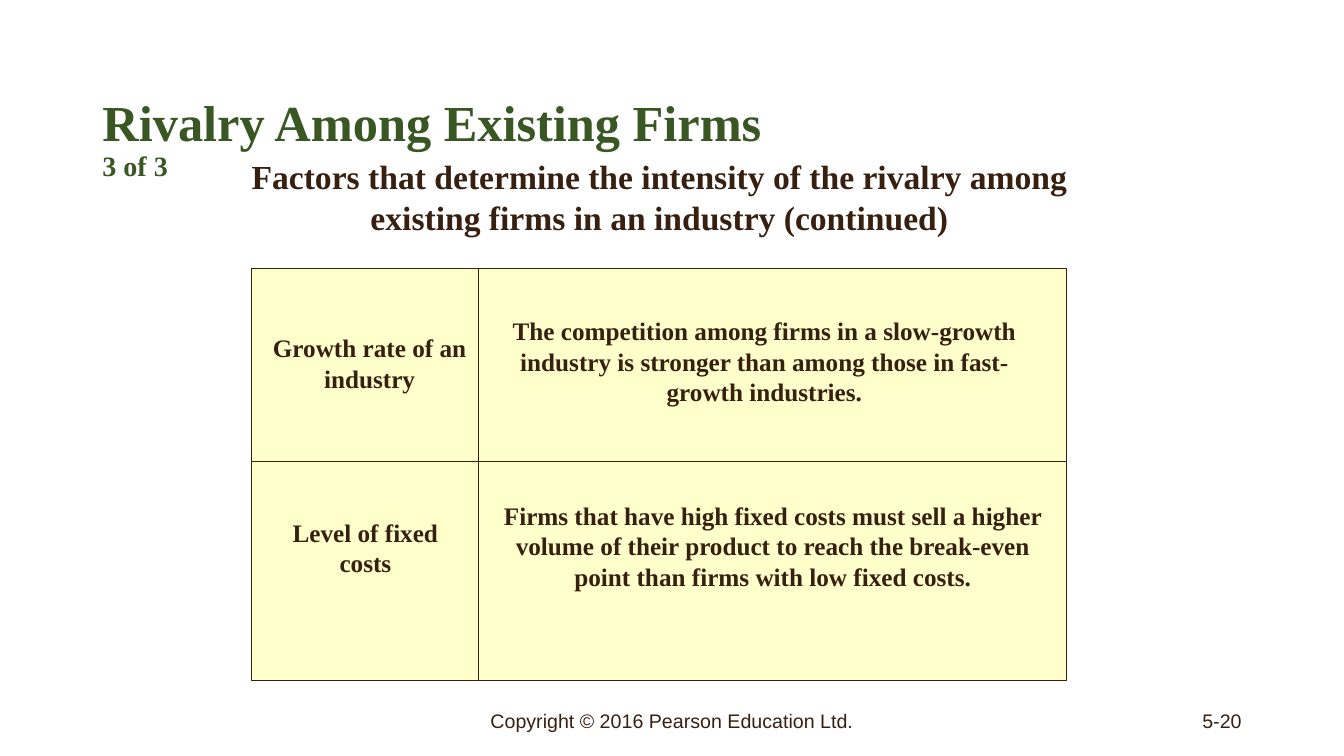
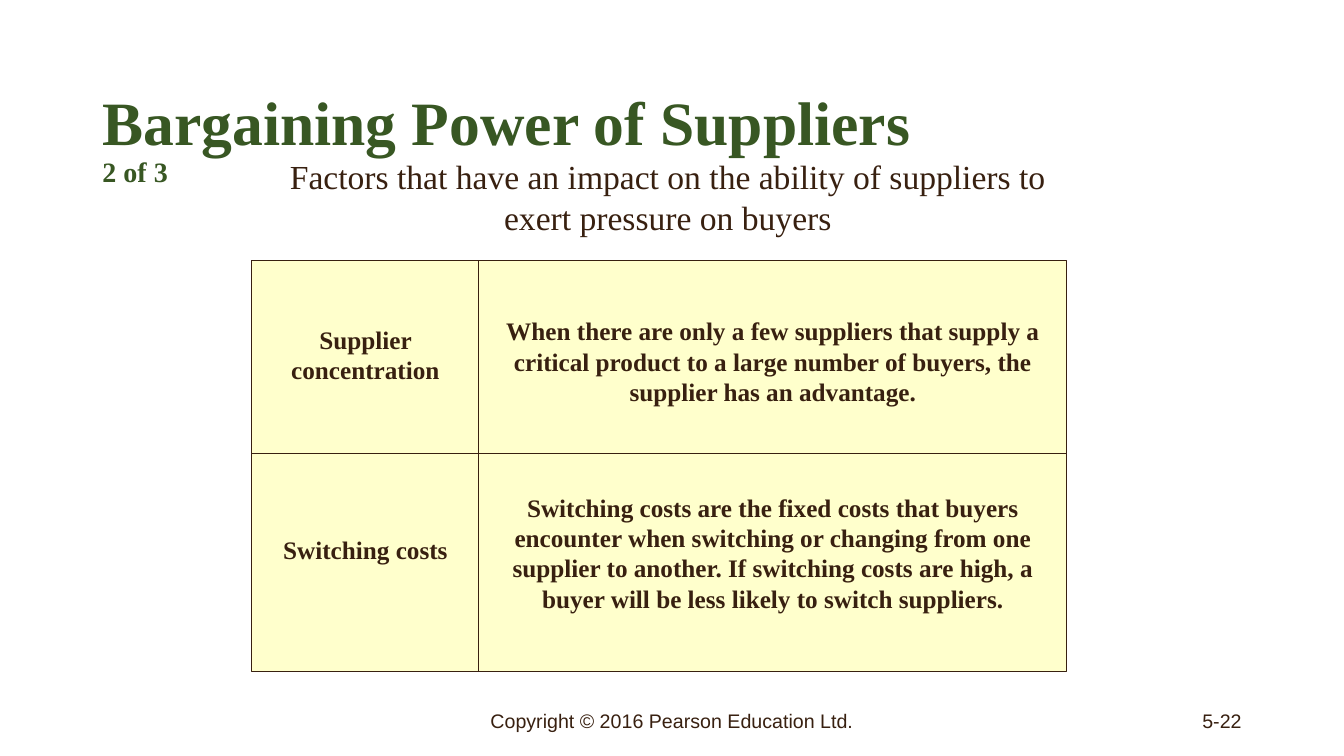
import dataclasses

import lxml.etree
import pptx
import pptx.dml.color
import pptx.enum.shapes
import pptx.enum.text
import pptx.oxml.ns
import pptx.util

ALIGN = pptx.enum.text.PP_ALIGN
ANCHOR = pptx.enum.text.MSO_ANCHOR


def px(n):
    """Turn px (96 to the inch) into EMU."""
    return pptx.util.Emu(n * 9525)


def rgb(color):
    return pptx.dml.color.RGBColor.from_string(color)


@dataclasses.dataclass(frozen=True)
class Theme:
    green: str = "385723"
    ink: str = "382010"
    cream: str = "FFFFCC"
    serif: str = "Times New Roman"
    sans: str = "Arial"
    part_size: int = 20
    heading_size: int = 24
    cell_size: int = 18
    footer_size: int = 14
    line_width: float = 0.75


class Deck:
    def __init__(self, prs, theme):
        self.prs = prs
        self.theme = theme
        self.s = None

    def new_slide(self):
        layout = self.prs.slide_layouts.get_by_name("Title Only")
        self.s = self.prs.slides.add_slide(layout)

    def run(self, p, text, size, color=None, font=None, bold=False):
        r = p.add_run()
        r.text = text
        r.font.name = font or self.theme.serif
        r.font.size = pptx.util.Pt(size)
        r.font.bold = bold
        r.font.color.rgb = rgb(color or self.theme.ink)

    def title(self, text, size, part):
        sp = self.s.shapes.title
        sp.left, sp.top, sp.width, sp.height = map(px, (88, 64, 1104, 139))
        tf = sp.text_frame
        tf.auto_size = pptx.enum.text.MSO_AUTO_SIZE.NONE
        tf.vertical_anchor = ANCHOR.MIDDLE
        lines = (tf.paragraphs[0], text, size), (tf.add_paragraph(), part, self.theme.part_size)
        for p, line, points in lines:
            p.alignment = ALIGN.LEFT
            p.line_spacing = 0.9
            self.run(p, line, points, self.theme.green, bold=True)

    def text(self, box, text, size, align=ALIGN.CENTER, anchor=ANCHOR.TOP, **style):
        tf = self.s.shapes.add_textbox(*map(px, box)).text_frame
        tf.word_wrap = True
        tf.vertical_anchor = anchor
        p = tf.paragraphs[0]
        p.alignment = align
        self.run(p, text, size, **style)

    def heading(self, left, width, text, bold):
        self.text((left, 144, width, 88), text, self.theme.heading_size, bold=bold)

    def footer(self, number):
        style = dict(size=self.theme.footer_size, anchor=ANCHOR.MIDDLE, font=self.theme.sans)
        self.text((424, 667, 432, 38), "Copyright © 2016 Pearson Education Ltd.", **style)
        self.text((904, 667, 288, 38), number, align=ALIGN.RIGHT, **style)

    def outline(self, line):
        line.color.rgb = rgb(self.theme.ink)
        line.width = pptx.util.Pt(self.theme.line_width)

    def rule(self, *ends):
        line = self.s.shapes.add_connector(
            pptx.enum.shapes.MSO_CONNECTOR.STRAIGHT, *map(px, ends))
        self.outline(line.line)
        lxml.etree.SubElement(line._element.spPr, pptx.oxml.ns.qn("a:effectLst"))

    def grid(self, top, middle):
        """Draw the cream panel, divided into two rows and two columns."""
        left, width, height = 240, 776, 392
        panel = self.s.shapes.add_shape(
            pptx.enum.shapes.MSO_SHAPE.RECTANGLE, *map(px, (left, top, width, height)))
        panel.shadow.inherit = False
        panel.fill.solid()
        panel.fill.fore_color.rgb = rgb(self.theme.cream)
        self.outline(panel.line)
        self.rule(left, middle, left + width, middle)
        self.rule(456, top, 456, top + height)

    def cell(self, text, top, left, width, lines):
        box = (left, top, width, 10 + 29 * lines)
        self.text(box, text, self.theme.cell_size, bold=True)

    def factor(self, text, top, left=248, width=200, lines=2):
        self.cell(text, top, left, width, lines)

    def effect(self, text, top, left=464, width=544, lines=3):
        self.cell(text, top, left, width, lines)


def rivalry_slide(deck):
    deck.new_slide()
    deck.title("Rivalry Among Existing Firms", 36, "3 of 3")
    deck.footer("5-20")
    deck.heading(184, 888, "Factors that determine the intensity of the rivalry among "
                 "existing firms in an industry (continued)", bold=True)
    deck.grid(256, 440)
    deck.factor("Growth rate of an industry", 312, left=240, width=224)
    deck.factor("Level of fixed costs", 488)
    deck.effect("The competition among firms in a slow-growth industry is stronger "
                "than among those in fast-growth industries.", 296, left=472, width=512)
    deck.effect("Firms that have high fixed costs must sell a higher volume of their product "
                "to reach the break-even point than firms with low fixed costs.", 472)


def suppliers_slide(deck):
    deck.new_slide()
    deck.title("Bargaining Power of Suppliers", 44, "2 of 3")
    deck.footer("5-22")
    deck.heading(240, 792, "Factors that have an impact on the ability of suppliers "
                 "to exert pressure on buyers", bold=False)
    deck.grid(248, 432)
    deck.factor("Supplier concentration", 304)
    deck.factor("Switching costs", 504, lines=1)
    deck.effect("When there are only a few suppliers that supply a critical product "
                "to a large number of buyers, the supplier has an advantage.", 296)
    deck.effect("Switching costs are the fixed costs that buyers encounter when switching "
                "or changing from one supplier to another. If switching costs are high, "
                "a buyer will be less likely to switch suppliers.", 464, lines=4)


def main():
    prs = pptx.Presentation()
    prs.slide_width, prs.slide_height = px(1280), px(720)
    deck = Deck(prs, Theme())
    rivalry_slide(deck)
    suppliers_slide(deck)
    prs.save("out.pptx")


if __name__ == "__main__":
    main()
